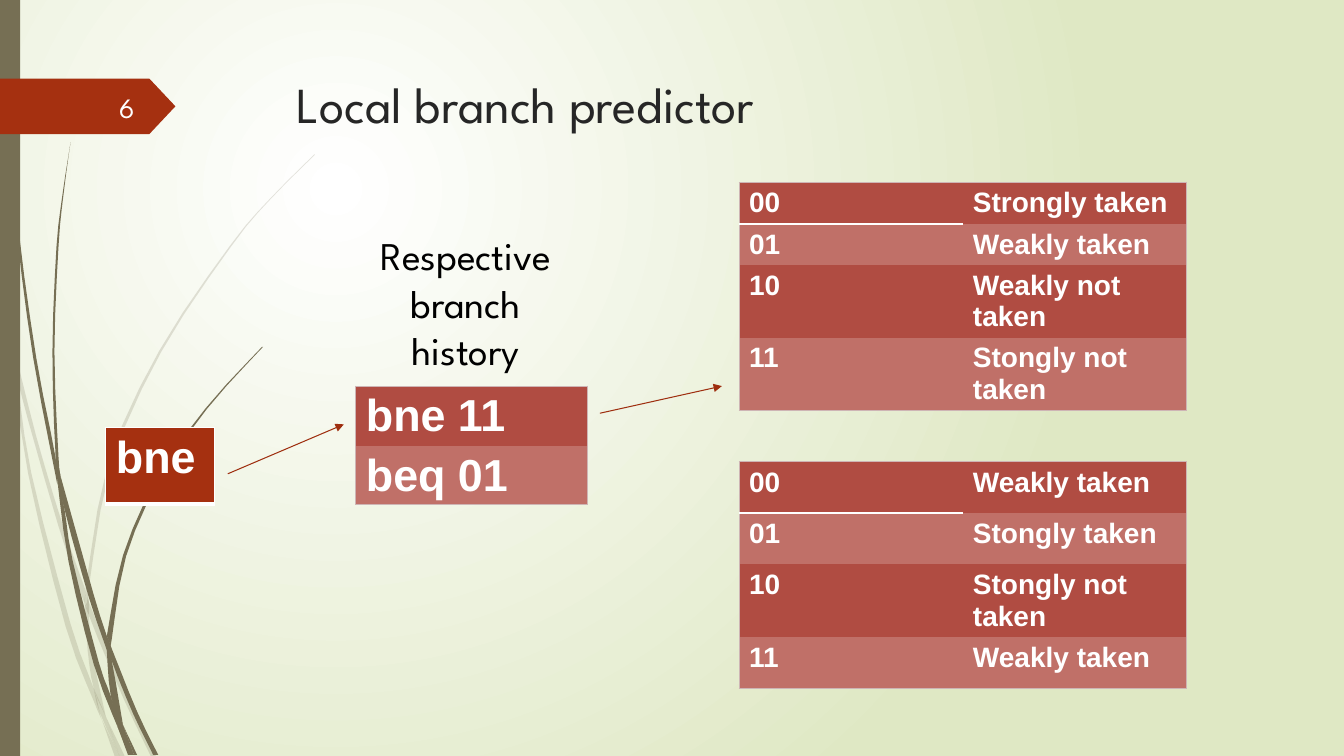
from lxml import etree
from pptx import Presentation, util as u
from pptx.dml.color import RGBColor
from pptx.enum import shapes, text
from pptx.oxml import ns

W, H = 13.33, 7.5
COLORS = {"stem": "766F54", "accent": "A53010", "arrow": "9E2E0F", "title": "262626",
          "label": "000000", "white": "FFFFFF", "number": "FEFFFF", "edge": "CEB5B5",
          "row": "B04C42", "band": "C07068", "glow": "DFE8C4"}
DISPLAY, BODY = "League Spartan", "Arial"

# Stem segments: left edge and right edge, both from the top down
FAINT_STEMS = [
    ([(0, 2.99), (.1, 3.44), (.11, 3.5)], [(0, 2.82), (.09, 3.22), (.11, 3.5)]),
    ([(.14, 3.45), (.17, 3.76), (.58, 5.22), (.84, 5.99)], [(.14, 3.45), (.36, 4.33), (.62, 5.2), (.85, 5.86)]),
    ([(.88, 5.96), (.88, 6.1), (1.23, 6.94), (1.5, 7.51)], [(.88, 5.96), (.92, 6.07), (1.27, 6.92), (1.55, 7.51)]),
    ([(1.05, 7.11), (1.19, 7.51)], [(1.05, 7.11), (1.24, 7.51)]),
    ([(.11, 3.5), (.28, 4.7), (.65, 6.21), (.92, 6.93), (1.01, 7.14)],
     [(.11, 3.5), (.17, 3.76), (.31, 4.69), (.7, 6.19), (.93, 6.83), (.99, 7.07), (1.01, 7.14)]),
    ([(.84, 5.99), (.87, 6.46), (.93, 6.83), (1.05, 7.11)], [(.84, 5.99), (.88, 6.1), (.91, 6.46), (1.05, 7.11)]),
    ([(3.12, 1.53), (2.68, 1.97), (2.28, 2.44), (1.58, 3.48), (1.07, 4.61), (.85, 5.84)],
     [(3.12, 1.54), (2.68, 1.98), (2.29, 2.45), (1.6, 3.49), (1.1, 4.62), (.88, 5.84), (.88, 5.96)]),
    ([(1.01, 7.14), (1.14, 7.51)], [(1.01, 7.14), (1.19, 7.51)]),
    ([(.85, 5.86), (.84, 5.99), (.88, 6.1)], [(.85, 5.86), (.88, 5.96), (.88, 6.1)]),
    ([(.93, 6.83), (.99, 7.07), (1.19, 7.51)], [(.93, 6.83), (1.05, 7.11), (1.19, 7.51)]),
]
STRONG_STEMS = [
    ([(.03, 0), (.07, 1.1), (.17, 2.33), (.33, 3.55), (.57, 4.81)],
     [(.04, 0), (.08, 1.09), (.19, 2.32), (.36, 3.55), (.55, 4.53), (.57, 4.81)]),
    ([(.6, 4.72), (.64, 5.05), (.88, 5.92), (1.06, 6.45)], [(.6, 4.72), (.93, 5.9), (1.06, 6.31)]),
    ([(1.1, 6.41), (1.11, 6.56), (1.32, 7.08), (1.52, 7.49)], [(1.1, 6.41), (1.13, 6.49), (1.36, 7.06), (1.57, 7.49)]),
    ([(.57, 4.77), (.68, 5.57), (.93, 6.59), (1.17, 7.22)],
     [(.57, 4.77), (.64, 5.05), (.72, 5.56), (.98, 6.57), (1.1, 6.91), (1.17, 7.22)]),
    ([(.7, 1.41), (.62, 1.93), (.56, 2.45), (.52, 3.49), (.55, 4.49), (.6, 4.72)],
     [(.7, 1.41), (.63, 1.93), (.58, 2.45), (.54, 3.49), (.58, 4.53), (.6, 4.72)]),
    ([(1.22, 7.19), (1.33, 7.49)], [(1.22, 7.19), (1.36, 7.49)]),
    ([(.55, 4.49), (.57, 4.77), (.64, 5.05)], [(.55, 4.49), (.6, 4.72), (.64, 5.05)]),
    ([(2.6, 3.44), (2.04, 4.05), (1.56, 4.74), (1.22, 5.51), (1.06, 6.31)],
     [(2.61, 3.44), (2.05, 4.06), (1.58, 4.76), (1.25, 5.52), (1.11, 6.33), (1.1, 6.41)]),
    ([(1.17, 7.22), (1.27, 7.49)], [(1.17, 7.22), (1.31, 7.49)]),
    ([(1.06, 6.45), (1.1, 6.91), (1.22, 7.19)], [(1.06, 6.45), (1.11, 6.56), (1.22, 7.19)]),
    ([(1.06, 6.31), (1.06, 6.45), (1.11, 6.56)], [(1.06, 6.31), (1.1, 6.41), (1.11, 6.56)]),
    ([(1.1, 6.91), (1.17, 7.22), (1.3, 7.49)], [(1.1, 6.91), (1.22, 7.19), (1.33, 7.49)]),
]


def color(name):
    return RGBColor.from_string(COLORS[name])


def inches(*lengths):
    return [u.Inches(length) for length in lengths]


def sub(parent, tag, **attrs):
    return etree.SubElement(parent, ns.qn(tag), {k: str(v) for k, v in attrs.items()})


def paint(shape, name, opacity=100):
    shape.shadow.inherit = False
    shape.line.fill.background()
    shape.fill.solid()
    shape.fill.fore_color.rgb = color(name)
    if opacity < 100:
        sub(shape.fill._xPr.find(".//" + ns.qn("a:srgbClr")), "a:alpha", val=opacity * 1000)


def write(frame, words, size, name, font=DISPLAY, bold=False, align=text.PP_ALIGN.LEFT,
          anchor=text.MSO_ANCHOR.TOP):
    frame.word_wrap = True
    frame.vertical_anchor = anchor
    line = frame.paragraphs[0]
    line.alignment = align
    run = line.add_run()
    run.text = words
    run.font.size, run.font.name, run.font.bold = u.Pt(size), font, bold
    run.font.color.rgb = color(name)


def backdrop(slide):
    fill = slide.background.fill
    fill.gradient()
    for stop, name in zip(fill.gradient_stops, ("white", "glow")):
        stop.color.rgb = color(name)
    grad = slide.background._cSld.find(".//" + ns.qn("a:gradFill"))
    grad.remove(grad.find(ns.qn("a:lin")))
    circle = sub(grad, "a:path", path="circle")
    sub(circle, "a:fillToRect", l=50000, t=50000, r=100000, b=100000)


def smooth(points, steps=3):
    """Catmull-Rom curve through the points, in thousandths of an inch."""
    ends = [points[0], *points, points[-1]]
    for a, b, c, d in zip(ends, ends[1:], ends[2:], ends[3:]):
        for t in (i / steps for i in range(steps)):
            yield tuple(500 * (2 * q + (r - p) * t + (2 * p - 5 * q + 4 * r - s) * t ** 2
                               + (3 * q - p - 3 * r + s) * t ** 3) for p, q, r, s in zip(a, b, c, d))
    yield tuple(1000 * v for v in points[-1])


def stems(slide, segments, opacity):
    for left, right in segments:
        outline = [*smooth(left), *reversed(list(smooth(right)))]
        builder = slide.shapes.build_freeform(*outline[0], scale=u.Inches(1) / 1000)
        builder.add_line_segments(outline[1:])
        paint(builder.convert_to_shape(), "stem", opacity)


def page_tag(slide, box, number):
    x, y, w, h = box
    tag = slide.shapes.add_shape(shapes.MSO_SHAPE.PENTAGON, *inches(*box))
    tag.adjustments[0] = .47
    paint(tag, "accent")
    holder = slide.shapes.add_textbox(*inches(x + w / 3, y + .08, w * .49, h - .15))
    write(holder.text_frame, number, 20, "number", align=text.PP_ALIGN.RIGHT, anchor=text.MSO_ANCHOR.MIDDLE)


def border(cell, side, name, width):
    line = sub(cell._tc.get_or_add_tcPr(), "a:ln" + side, w=int(u.Pt(width)))
    sub(sub(line, "a:solidFill"), "a:srgbClr", val=COLORS[name])


def table(slide, box, rows, heights, size, fills=("row", "band"), edge=("edge", .75), rule=None, foot=None):
    """Banded table: edge is its outer line, rule lies under the first cell, foot under the last row."""
    frame = slide.shapes.add_table(len(rows), len(rows[0]), *inches(*box, sum(heights)))
    grid = frame.table
    grid.first_row = grid.horz_banding = False
    grid._tbl.tblPr.find(ns.qn("a:tableStyleId")).text = "{2D5ABB26-0587-4C30-8999-92F81FD0307C}"
    last_row, last_col = len(rows) - 1, len(rows[0]) - 1
    for r, words in enumerate(rows):
        grid.rows[r].height = u.Inches(heights[r])
        for c, word in enumerate(words):
            cell = grid.cell(r, c)
            cell.margin_bottom = 0
            write(cell.text_frame, word, size, "white", BODY, True)
            sides = {"L": c == 0 and edge, "R": c == last_col and edge, "T": r == 0 and edge,
                     "B": (r == last_row and (foot or edge)) or (r == c == 0 and rule)}
            for side, style in sides.items():
                if style:
                    border(cell, side, *style)
            cell.fill.solid()
            cell.fill.fore_color.rgb = color(fills[r % len(fills)])


def arrow(slide, start, end):
    link = slide.shapes.add_connector(shapes.MSO_CONNECTOR.STRAIGHT, *inches(*start, *end))
    link.line.color.rgb = color("arrow")
    link.line.width = u.Pt(.75)
    sub(link.line._get_or_add_ln(), "a:tailEnd", type="triangle")
    sub(link._element.spPr, "a:effectLst")


def heading(slide, box, words):
    title = slide.shapes.title
    title.left, title.top, title.width, title.height = inches(*box)
    title.text_frame.auto_size = text.MSO_AUTO_SIZE.NONE
    write(title.text_frame, words, 36, "title")


def predictor(slide, box):
    x, y = box[:2]
    # Branch and its history
    table(slide, (x, y + 2.43, 1.08), [["bne"]], [.76], 32, ("accent",), ("white", 1), foot=("white", 3))
    table(slide, (x + 2.48, y + 2.02, 2.3), [["bne 11"], ["beq 01"]], [.59, .59], 32)
    label = slide.shapes.add_textbox(*inches(x + 2.36, y + .44, 2.42, 1.51))
    write(label.text_frame, "Respective branch history", 28, "label", align=text.PP_ALIGN.CENTER)
    # Prediction states
    codes = ["00", "01", "10", "11"]
    states = [
        (0, ["Strongly taken", "Weakly taken", "Weakly not taken", "Stongly not taken"], [.41, .41, .72, .72]),
        (2.77, ["Weakly taken", "Stongly taken", "Stongly not taken", "Weakly taken"], [.51, .51, .72, .51]),
    ]
    for top, names, heights in states:
        table(slide, (x + 6.28, y + top, 4.44), list(zip(codes, names)), heights, 20, rule=("white", 1.75))
    # Lookup steps
    arrow(slide, (x + 1.21, y + 2.89), (x + 2.36, y + 2.4))
    arrow(slide, (x + 4.9, y + 2.29), (x + 6.11, y + 2.02))


deck = Presentation()
deck.slide_width, deck.slide_height = inches(W, H)
page = deck.slides.add_slide(deck.slide_layouts[5])
backdrop(page)
stems(page, FAINT_STEMS, 20)
stems(page, STRONG_STEMS, 100)
paint(page.shapes.add_shape(shapes.MSO_SHAPE.RECTANGLE, *inches(0, 0, .2, H)), "stem")
page_tag(page, (0, .78, 1.74, .55), "6")
heading(page, (2.84, .68, 9.75, 1.4), "Local branch predictor")
predictor(page, (1.05, 1.81, 10.72, 5.08))
deck.save("out.pptx")
